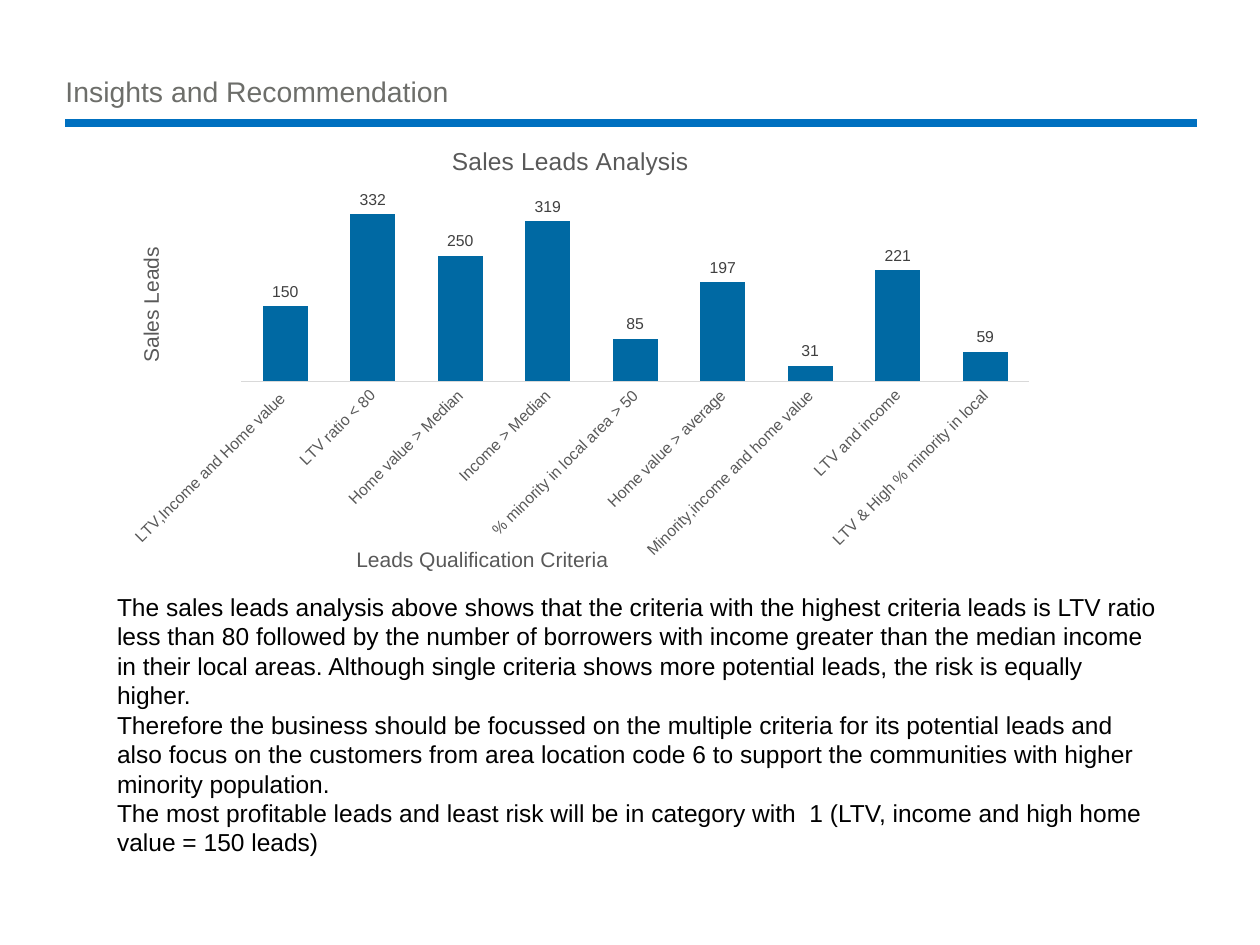
from lxml import etree
from pptx import Presentation
from pptx import util as u
from pptx.chart.data import CategoryChartData
from pptx.dml.color import RGBColor
from pptx.enum import chart as ch, shapes, text
from pptx.oxml.ns import qn

# Content
TITLE = "Insights and Recommendation"
CHART_TITLE = "Sales Leads Analysis"
X_TITLE = "Leads Qualification Criteria"
Y_TITLE = "Sales Leads"
LEADS = [
    ("LTV,Income and Home value ", 150),
    ("LTV ratio < 80", 332),
    (" Home value > Median", 250),
    (" Income > Median", 319),
    ("% minority in local area > 50", 85),
    (" Home value > average", 197),
    ("Minority,income and home value", 31),
    ("LTV and income", 221),
    ("LTV & High % minority in local", 59),
]
FINDINGS = [
    "The sales leads analysis above shows that the criteria with the highest criteria leads is LTV ratio",
    "less than 80 followed by the number of borrowers with income greater than the median income "
    "in their local areas. Although single criteria shows more potential leads, the risk is equally higher.",
    "Therefore the business should be focussed on the multiple criteria for its potential leads and "
    "also focus on the customers from area location code 6 to support the communities with higher "
    "minority population.",
    "The most profitable leads and least risk will be in category with  1 (LTV, income and high home "
    "value = 150 leads)",
]
COLORS = {"title": "6D6E6A", "rule": "0070C0", "bar": "0069A3", "axis": "D9D9D9",
          "muted": "595959", "label": "404040", "body": "000000"}
FONT = "Arial"


def rgb(name):
    return RGBColor.from_string(COLORS[name])


def style(font, size, color):
    font.name, font.size, font.bold = FONT, u.Pt(size), False
    font.color.rgb = rgb(color)


def place(element, **values):
    """Give a chart part a manual layout in fractions of the chart."""
    layout = element.find(qn("c:layout"))
    if layout is None:
        layout = etree.Element(qn("c:layout"))
        element.insert(1 if element.find(qn("c:tx")) is not None else 0, layout)
    manual = etree.SubElement(layout, qn("c:manualLayout"))
    for key, value in values.items():
        etree.SubElement(manual, qn("c:" + key)).set("val", str(value))


def add_title(owner, title, wording, size, x, y):
    tf = title.text_frame
    tf.text = wording
    style(tf.paragraphs[0].font, size, "muted")
    place(title._element, xMode="edge", yMode="edge", x=x, y=y)
    return tf


prs = Presentation()
prs.slide_width, prs.slide_height = u.Cm(25.4), u.Cm(19.05)
s = prs.slides.add_slide(prs.slide_layouts[5])

# Title and rule
sp = s.shapes.title
sp.left, sp.top, sp.width, sp.height = u.Cm(1.32), u.Cm(1.5), u.Cm(22.86), u.Cm(0.76)
tf = sp.text_frame
tf.text = TITLE
tf.auto_size = text.MSO_AUTO_SIZE.NONE
tf.vertical_anchor = text.MSO_ANCHOR.MIDDLE
tf.margin_left = tf.margin_right = 0
p = tf.paragraphs[0]
p.alignment, p.line_spacing = text.PP_ALIGN.LEFT, 0.9
style(p.font, 16.2, "title")

rule = s.shapes.add_connector(shapes.MSO_CONNECTOR.STRAIGHT,
                              u.Cm(1.32), u.Cm(2.48), u.Cm(24.13), u.Cm(2.48))
rule.line.color.rgb, rule.line.width = rgb("rule"), u.Pt(4.5)
etree.SubElement(rule._element.spPr, qn("a:effectLst"))

# Column chart
data = CategoryChartData()
data.categories = [name for name, _ in LEADS]
data.add_series("Series 1", [count for _, count in LEADS])
chart = s.shapes.add_chart(ch.XL_CHART_TYPE.COLUMN_CLUSTERED, u.Cm(1.75), u.Cm(2.54),
                           u.Cm(19.13), u.Cm(10.26), data).chart
style(chart.font, 10, "body")
chart.has_legend = False
chart.has_title = True
add_title(chart, chart.chart_title, CHART_TITLE, 14, 0.38, 0.03)
place(chart._chartSpace.chart.plotArea, layoutTarget="inner", xMode="edge", yMode="edge",
      x=0.163, y=0.156, w=0.83, h=0.346)

plot = chart.plots[0]
plot.gap_width, plot.overlap, plot.vary_by_categories = 95, -27, False
fill = plot.series[0].format.fill
fill.solid()
fill.fore_color.rgb = rgb("bar")
plot.has_data_labels = True
labels = plot.data_labels
labels.show_value, labels.position = True, ch.XL_LABEL_POSITION.OUTSIDE_END
style(labels.font, 9, "label")

# Axes
cat, val = chart.category_axis, chart.value_axis
cat.major_tick_mark = cat.minor_tick_mark = ch.XL_TICK_MARK.NONE
cat.format.line.color.rgb, cat.format.line.width = rgb("axis"), u.Pt(0.75)
style(cat.tick_labels.font, 9, "muted")
cat._element.find(qn("c:txPr")).find(qn("a:bodyPr")).set("rot", "-2700000")
add_title(cat, cat.axis_title, X_TITLE, 12, 0.28, 0.82)

val.visible = val.has_major_gridlines = False
val.minimum_scale, val.maximum_scale = 0, 350
tf = add_title(val, val.axis_title, Y_TITLE, 12, 0.05, 0.23)
body = tf._txBody.find(qn("a:bodyPr"))
body.set("rot", "-5400000")
body.set("vert", "horz")

# Findings
tf = s.shapes.add_textbox(u.Cm(2.11), u.Cm(11.81), u.Cm(21.54), u.Cm(5.64)).text_frame
tf.word_wrap = True
for i, finding in enumerate(FINDINGS):
    p = tf.paragraphs[0] if i == 0 else tf.add_paragraph()
    p.text = finding
    style(p.font, 14, "body")

prs.save("out.pptx")
